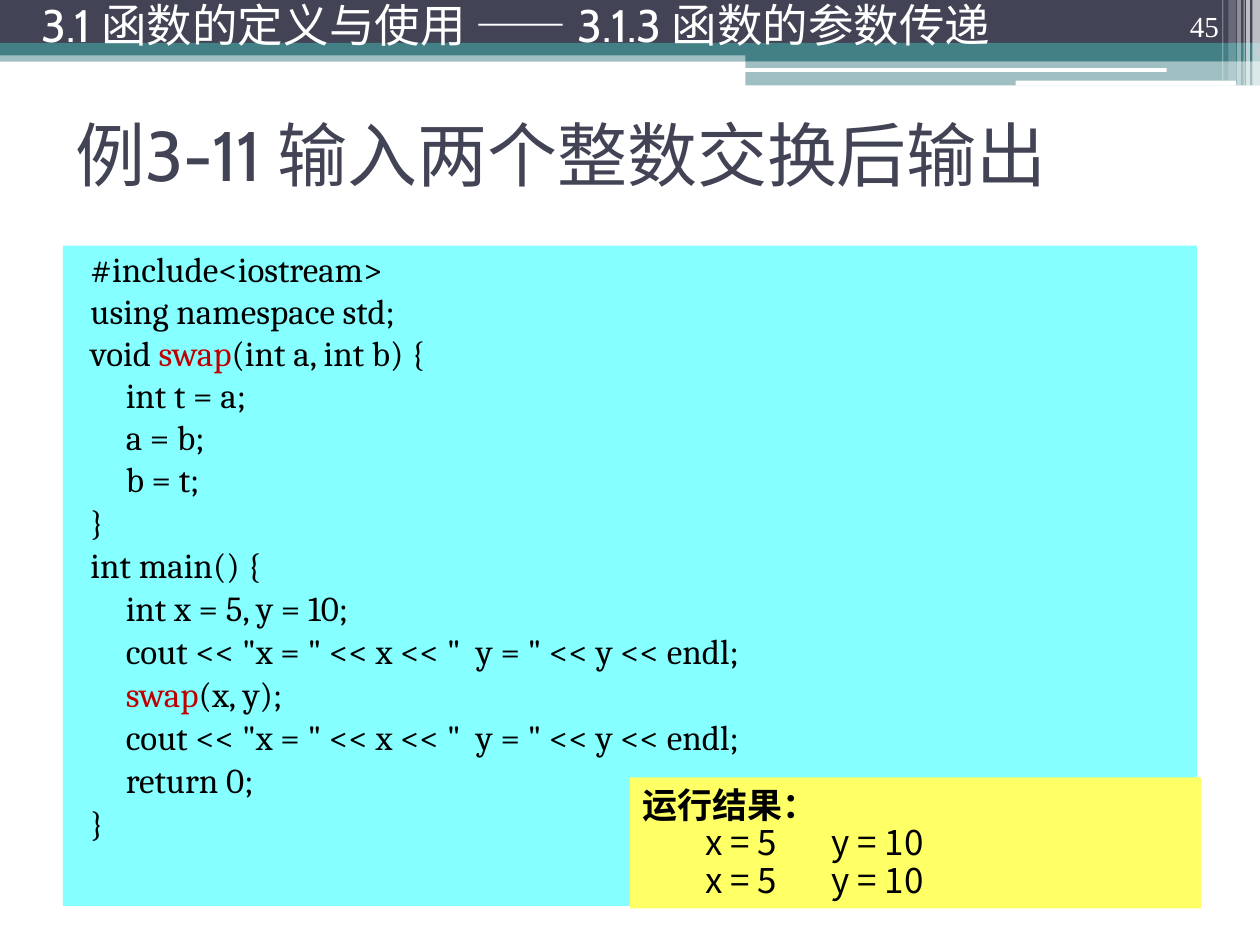
from typing import NamedTuple, Optional

from lxml.etree import SubElement
from pptx import Presentation
from pptx.dml.color import RGBColor
from pptx.enum.shapes import MSO_SHAPE
from pptx.enum.text import MSO_ANCHOR, PP_ALIGN
from pptx.oxml.ns import qn
from pptx.util import Pt

BLACK = RGBColor(0x00, 0x00, 0x00)
WHITE = RGBColor(0xFF, 0xFF, 0xFF)
SLATE = RGBColor(0x42, 0x44, 0x56)
TEAL = RGBColor(0x43, 0x80, 0x86)
CYAN = RGBColor(0x85, 0xFF, 0xFF)
YELLOW = RGBColor(0xFF, 0xFF, 0x66)
RED = RGBColor(0xC0, 0x00, 0x00)


class Box(NamedTuple):
    left: float
    top: float
    width: float
    height: float


class Band(NamedTuple):
    box: Box
    color: RGBColor
    opacity: int = 100
    rounded: bool = False


class Line(NamedTuple):
    text: str
    size: float
    font: str
    color: RGBColor = BLACK
    bold: bool = False
    align: PP_ALIGN = PP_ALIGN.LEFT
    spacing: float = 1.0
    before: float = 0
    margin: float = 0
    indent: float = 0
    tabs: tuple[float, ...] = ()
    keyword: Optional[str] = None


def draw_band(slide, band: Band):
    kind = MSO_SHAPE.ROUNDED_RECTANGLE if band.rounded else MSO_SHAPE.RECTANGLE
    shape = slide.shapes.add_shape(kind, *map(Pt, band.box))
    shape.shadow.inherit = False
    shape.line.fill.background()
    shape.fill.solid()
    shape.fill.fore_color.rgb = band.color
    if band.opacity < 100:
        color = shape.fill._xPr.find(qn("a:solidFill"))[0]
        SubElement(color, qn("a:alpha")).set("val", str(band.opacity * 1000))
    return shape


def add_line(paragraph, line: Line) -> None:
    paragraph.alignment = line.align
    paragraph.line_spacing = line.spacing
    paragraph.space_before = Pt(line.before)
    properties = paragraph._p.get_or_add_pPr()
    properties.set("marL", str(Pt(line.margin)))
    properties.set("indent", str(Pt(line.indent)))
    if line.tabs:
        stops = SubElement(properties, qn("a:tabLst"))
        for position in line.tabs:
            SubElement(stops, qn("a:tab"), pos=str(Pt(position)), algn="l")
    font = paragraph.font
    font.size, font.name, font.bold = Pt(line.size), line.font, line.bold
    font.color.rgb = line.color

    before, keyword, after = line.text.partition(line.keyword or "\n")
    for part in filter(None, (before, keyword, after)):
        run = paragraph.add_run()
        run.text = part
        if part == line.keyword:
            run.font.color.rgb = RED


def write(shape, lines: list[Line], anchor: MSO_ANCHOR) -> None:
    frame = shape.text_frame
    frame.word_wrap = True
    frame.vertical_anchor = anchor
    for index, line in enumerate(lines):
        add_line(frame.add_paragraph() if index else frame.paragraphs[0], line)


def add_label(slide, box: Box, line: Line, anchor: MSO_ANCHOR) -> None:
    write(slide.shapes.add_textbox(*map(Pt, box)), [line], anchor)


# Header bands, then the thin light stripes at the right edge
HEADER = [
    Band(Box(0, 28.8, 720, 6.48), TEAL, 50),
    Band(Box(0, 0, 720, 24.5), SLATE),
    Band(Box(0, 24.5, 720, 7.2), TEAL),
    Band(Box(426, 28, 294, 7), TEAL),
    Band(Box(426, 34.6, 294, 14.2), TEAL, 50),
    Band(Box(425.5, 39, 241.2, 2.16), WHITE, rounded=True),
    Band(Box(580.3, 46.1, 126, 2.88), WHITE, rounded=True),
]
STRIPES = [
    Band(Box(left, 0, width, height), WHITE, opacity)
    for left, width, height, opacity in [
        (715.7, 4.3, 49, 65), (712.1, 2.16, 49, 65), (710.6, 0.72, 49, 60),
        (707, 2.16, 49, 40), (702, 4.3, 46.1, 20), (698.4, 0.72, 46.1, 30),
    ]
]

CODE = """#include<iostream>
using namespace std;
void swap(int a, int b) {
\tint t = a;
\ta = b;
\tb = t;
}
int main() {
\tint x = 5, y = 10;
\tcout << "x = " << x << "  y = " << y << endl;
\tswap(x, y);
\tcout << "x = " << x << "  y = " << y << endl;
\treturn 0;
}""".split("\n")
MAIN_START = CODE.index("int main() {")


def code_line(index: int, text: str) -> Line:
    before = 0 if index == 0 else 2.5 if index < MAIN_START else 3
    return Line(text, 20, "Cambria", spacing=0.9, before=before,
                margin=28.8, indent=-20.16, keyword="swap")


def main() -> None:
    presentation = Presentation()
    presentation.slide_width, presentation.slide_height = Pt(720), Pt(540)
    slide = presentation.slides.add_slide(presentation.slide_layouts[6])

    for band in HEADER + STRIPES:
        draw_band(slide, band)

    # Title
    add_label(slide, Box(36, 45.4, 648, 84.2),
              Line("例3-11 输入两个整数交换后输出", 40, "Cabin", SLATE),
              MSO_ANCHOR.MIDDLE)

    # Program listing
    listing = draw_band(slide, Band(Box(36, 140.4, 648, 377.3), CYAN))
    write(listing, [code_line(i, text) for i, text in enumerate(CODE)],
          MSO_ANCHOR.TOP)

    # Page number and section heading
    add_label(slide, Box(643.7, 0, 59.8, 28.8),
              Line("45", 16.6, "Times New Roman", WHITE,
                   align=PP_ALIGN.RIGHT, spacing=0.9),
              MSO_ANCHOR.BOTTOM)
    add_label(slide, Box(16.6, 0, 635.8, 33.8),
              Line("3.1 函数的定义与使用 —— 3.1.3 函数的参数传递", 26, "Cabin",
                   WHITE, spacing=0.8),
              MSO_ANCHOR.MIDDLE)

    # Program output
    output = draw_band(slide, Band(Box(360, 444.2, 326.2, 74.9), YELLOW))
    values = Line("\tx = 5\ty = 10", 20, "Noto Sans CJK SC",
                  spacing=0.9, tabs=(72, 139.7))
    heading = Line("运行结果：", 20, "Noto Sans CJK SC", bold=True)
    write(output, [heading, values, values], MSO_ANCHOR.TOP)

    presentation.save("out.pptx")


if __name__ == "__main__":
    main()
